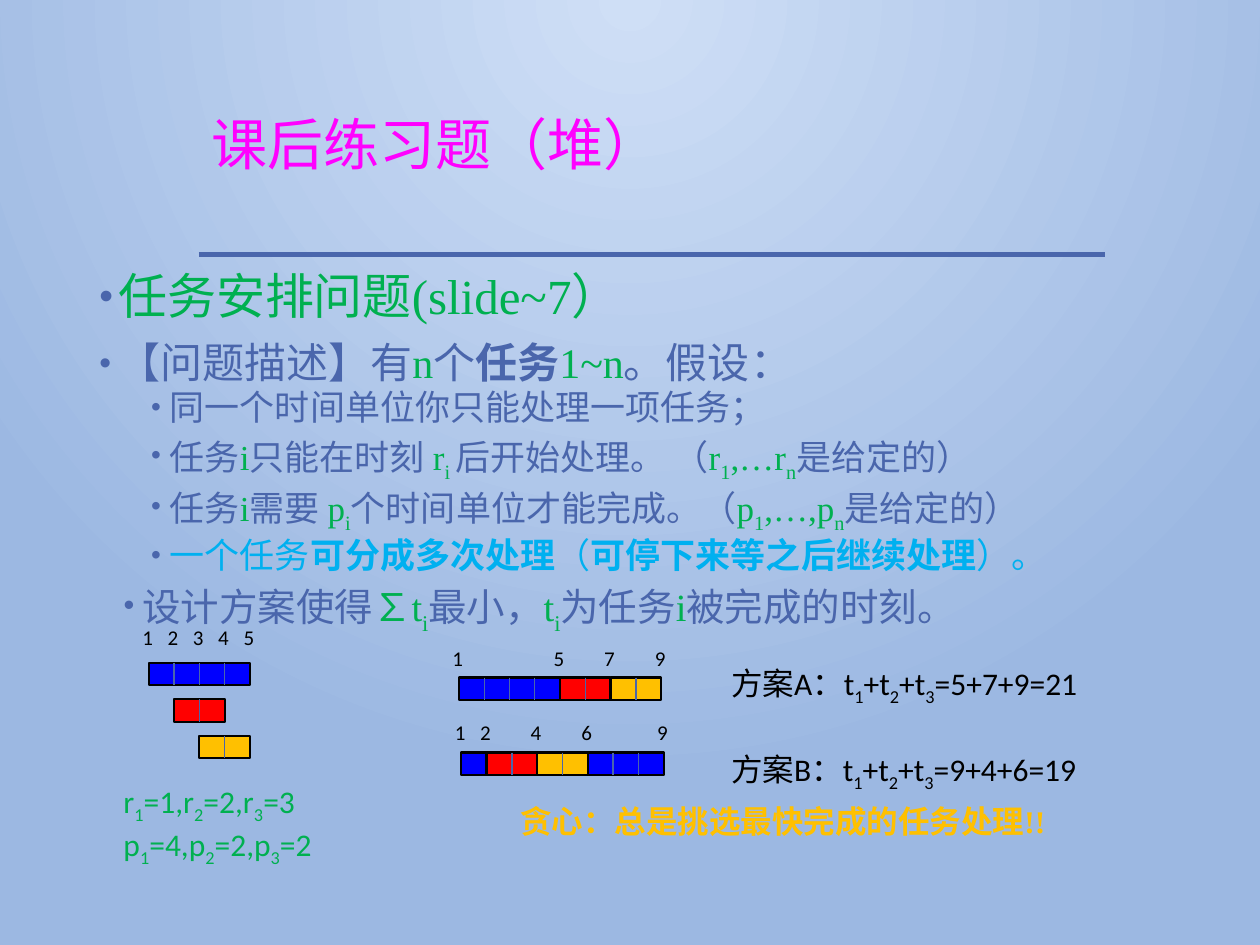
"""Build the slide on the heap exercise: scheduling tasks that may be split."""
from pptx import Presentation
from pptx.dml.color import RGBColor
from pptx.enum.shapes import MSO_CONNECTOR, MSO_SHAPE
from pptx.enum.text import MSO_ANCHOR, MSO_AUTO_SIZE, PP_ALIGN
from pptx.oxml import parse_xml
from pptx.oxml.ns import nsdecls
from pptx.util import Cm, Pt

BLACK = RGBColor(0x00, 0x00, 0x00)
SLATE = RGBColor(0x4A, 0x66, 0xAC)
PINK = RGBColor(0xFF, 0x00, 0xFF)
GREEN = RGBColor(0x00, 0xB0, 0x50)
SKY = RGBColor(0x00, 0xB0, 0xF0)
BLUE = RGBColor(0x00, 0x00, 0xFF)
RED = RGBColor(0xFF, 0x00, 0x00)
GOLD = RGBColor(0xFF, 0xC0, 0x00)
PALE, DEEP = "CFDFF6", "9CB8E2"
HAN, ROMAN, SANS = "Noto Sans CJK SC", "Times New Roman", "Calibri"
UNIT, HIGH = 0.51, 0.45

LIST = [
    dict(text="^任务安排问题(slide~7）", size=28),
    dict(text="【问题描述】有^n^个*任务*^1~n^。假设：", size=24),
    dict(text="同一个时间单位你只能处理一项任务；", level=2),
    dict(text="任务^i^只能在时刻 ^r_i_ ^后开始处理。 （^r_1,…r_n^是给定的）", level=2),
    dict(text="任务^i^需要 ^p_i^个时间单位才能完成。（^p_1,…,p_n^是给定的）", level=2),
    dict(text="一个任务*可分成多次处理*（*可停下来等之后继续处理*）。", level=2, color=SKY),
    dict(text="设计方案使得^∑t_i^最小，^t_i^为任务^i^被完成的时刻。", level=1, size=22),
]
INDENT = {0: 0.48, 1: 0.97, 2: 1.52}

TASKS = [(4, BLUE), (2, RED), (2, GOLD)]
PLANS = [
    (9.25, 13.66, TASKS, "方案A：t_1+t_2+t_3=5+7+9=21", 13.26),
    (9.3, 15.17, [(1, BLUE), (2, RED), (2, GOLD), (3, BLUE)],
     "方案B：t_1+t_2+t_3=9+4+6=19", 14.99),
]


def split(text):
    """Yield (words, accent, bold, sub) for marks ^ accent, * bold, _ subscript."""
    words, accent, bold, sub = "", False, False, False
    for sign in text:
        if sub:
            yield sign, accent, bold, True
            sub = False
        elif sign in "^*_":
            if words:
                yield words, accent, bold, False
            words = ""
            accent ^= sign == "^"
            bold ^= sign == "*"
            sub = sign == "_"
        else:
            words += sign
    if words:
        yield words, accent, bold, False


def write(para, text, size=20, color=BLACK, accent=GREEN, font=SANS):
    """Fill a paragraph with runs from marked text."""
    para.alignment = PP_ALIGN.LEFT
    for words, lit, bold, sub in split(text):
        run = para.add_run()
        run.text = words
        run.font.size, run.font.bold, run.font.name = Pt(size), bold, font
        run.font.color.rgb = accent if lit else color
        props = run._r.get_or_add_rPr()
        props.append(parse_xml(f'<a:ea {nsdecls("a")} typeface="{HAN}"/>'))
        if sub:
            props.set("baseline", "-25000")


class Board:
    """Hold the style and the current slide."""

    def __init__(self, deck):
        """Add a titled slide to the deck."""
        self.slide = deck.slides.add_slide(deck.slide_layouts[1])
        self.shapes = self.slide.shapes

    def ground(self):
        """Paint the round gradient behind the slide."""
        stops = "".join(f'<a:gs pos="{pos}"><a:srgbClr val="{tone}"/></a:gs>'
                        for pos, tone in ((0, PALE), (100000, DEEP)))
        self.slide._element.cSld.insert(0, parse_xml(
            f'<p:bg {nsdecls("p", "a")}><p:bgPr><a:gradFill rotWithShape="1">'
            f'<a:gsLst>{stops}</a:gsLst><a:path path="circle">'
            '<a:fillToRect l="43000" t="0" r="43000" b="100000"/></a:path>'
            '</a:gradFill><a:effectLst/></p:bgPr></p:bg>'))

    def place(self, holder, left, top, width, height):
        """Move a placeholder and return its cleared text frame."""
        holder.left, holder.top = Cm(left), Cm(top)
        holder.width, holder.height = Cm(width), Cm(height)
        frame = holder.text_frame
        frame.vertical_anchor = MSO_ANCHOR.TOP
        frame.auto_size = MSO_AUTO_SIZE.NONE
        return frame

    def title(self, text):
        """Write the title."""
        para = self.place(self.shapes.title, 4.01, 2.24, 19.71, 2.92).paragraphs[0]
        para.line_spacing = 0.9
        write(para, text, size=32, color=PINK, font=HAN)

    def list(self, items):
        """Write the bulleted body."""
        frame = self.place(self.slide.placeholders[1], 1.65, 5.36, 20.83, 7.34)
        for spot, item in enumerate(items):
            para = frame.add_paragraph() if spot else frame.paragraphs[0]
            style = dict(color=SLATE, font=ROMAN) | item
            level = style.pop("level", 0)
            para.level, para.line_spacing = level, 0.9
            para.space_before = Pt(1.5 if level else 10)
            para.space_after = Pt(3 if level else 0)
            props = para._p.get_or_add_pPr()
            props.set("marL", str(Cm(INDENT[level])))
            props.set("indent", str(-Cm(0.38)))
            for part in (f'buClr {nsdecls("a")}><a:srgbClr val="{SLATE}"/></a:buClr',
                         f'buSzPct {nsdecls("a")} val="80000"/',
                         f'buFont {nsdecls("a")} typeface="Arial"/',
                         f'buChar {nsdecls("a")} char="•"/'):
                props.append(parse_xml(f"<a:{part}>"))
            write(para, **style)

    def note(self, left, top, width, height, *lines, **style):
        """Add a text box with one paragraph per line."""
        box = self.shapes.add_textbox(Cm(left), Cm(top), Cm(width), Cm(height))
        frame = box.text_frame
        frame.word_wrap = True
        for spot, line in enumerate(lines):
            para = frame.add_paragraph() if spot else frame.paragraphs[0]
            write(para, line, **style)

    def line(self, left, top, right, base, weight=0.75):
        """Draw a straight line and return it."""
        line = self.shapes.add_connector(
            MSO_CONNECTOR.STRAIGHT, Cm(left), Cm(top), Cm(right), Cm(base))
        line.line.color.rgb, line.line.width = SLATE, Pt(weight)
        line._element.spPr.append(parse_xml(f'<a:effectLst {nsdecls("a")}/>'))
        return line

    def bar(self, left, top, count, color):
        """Draw a task bar cut into time units."""
        rect = self.shapes.add_shape(
            MSO_SHAPE.RECTANGLE, Cm(left), Cm(top), Cm(count * UNIT), Cm(HIGH))
        rect.shadow.inherit = False
        rect.fill.solid()
        rect.fill.fore_color.rgb = color
        rect.line.color.rgb, rect.line.width = BLACK, Pt(1.25)
        for cut in range(1, count):
            spot = left + cut * UNIT
            line = self.line(spot, top, spot, top + HIGH)
            if 2 * cut == count:
                line.begin_connect(rect, 0)
                line.end_connect(rect, 2)

    def times(self, left, top, hours):
        """Number the given hours along a bar that starts at hour 1."""
        for hour in hours:
            self.note(left + (hour - 1) * UNIT - 0.38, top, 0.76, 0.76,
                      str(hour), size=12)

    def plan(self, left, top, parts):
        """Draw bars end to end with the hour at each joint."""
        hours = [1]
        for count, color in parts:
            self.bar(left + (hours[-1] - 1) * UNIT, top, count, color)
            hours.append(hours[-1] + count)
        self.times(left, top - 0.78, hours)


def main():
    """Build and save the slide."""
    deck = Presentation()
    deck.slide_width, deck.slide_height = Cm(25.4), Cm(19.05)
    board = Board(deck)
    board.ground()
    board.line(4.01, 5.13, 22.28, 5.13, weight=2.5)
    board.title("课后练习题（堆）")
    board.list(LIST)
    board.note(2.24, 15.65, 5.99, 1.8, "r_1=1,r_2=2,r_3=3", "p_1=4,p_2=2,p_3=2",
               size=18, color=GREEN)
    for row, (count, color) in enumerate(TASKS):
        board.bar(3 + row * UNIT, 13.36 + row * 0.74, count, color)
    board.times(3, 12.47, range(1, 6))
    for left, top, parts, text, base in PLANS:
        board.plan(left, top, parts)
        board.note(14.49, base, 9.25, 1.02, text, size=18)
    board.note(10.24, 16.05, 12.7, 1.02, "*贪心：总是挑选最快完成的任务处理!!*",
               size=18, color=GOLD, font=ROMAN)
    deck.save("out.pptx")


if __name__ == "__main__":
    main()
